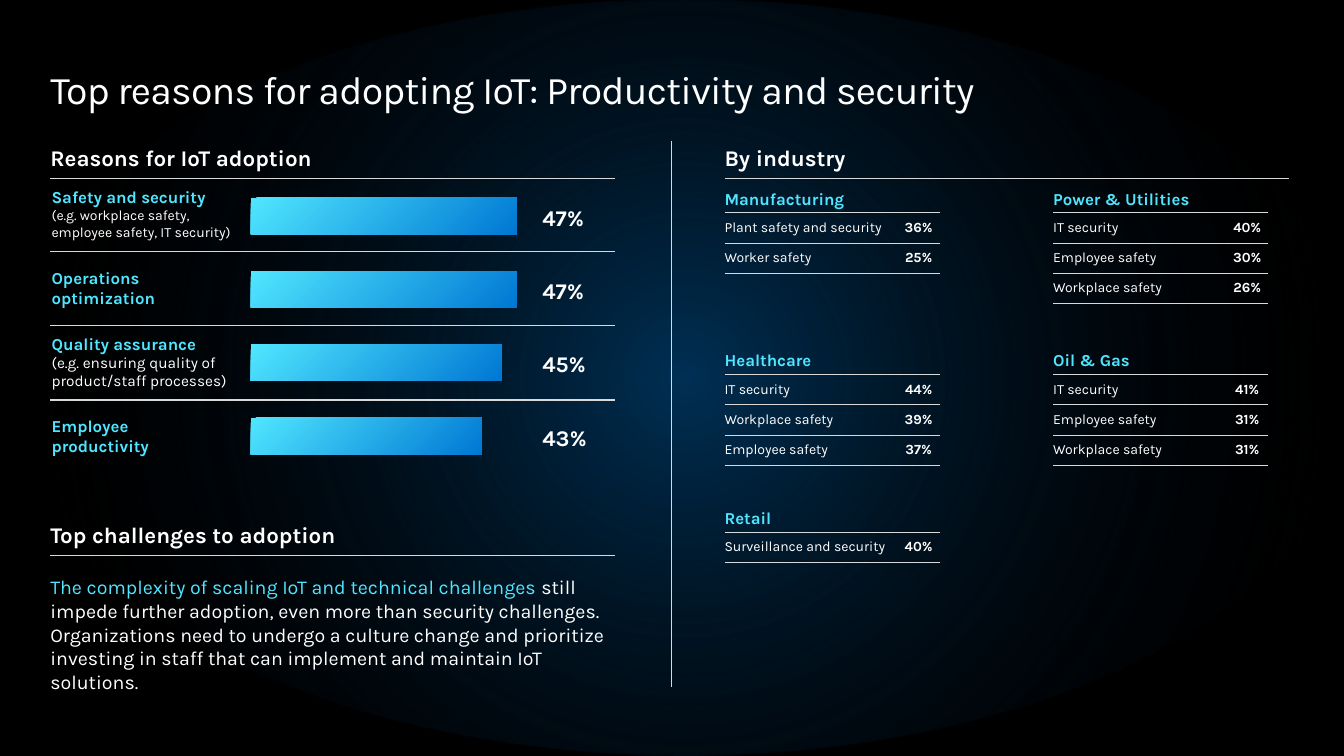
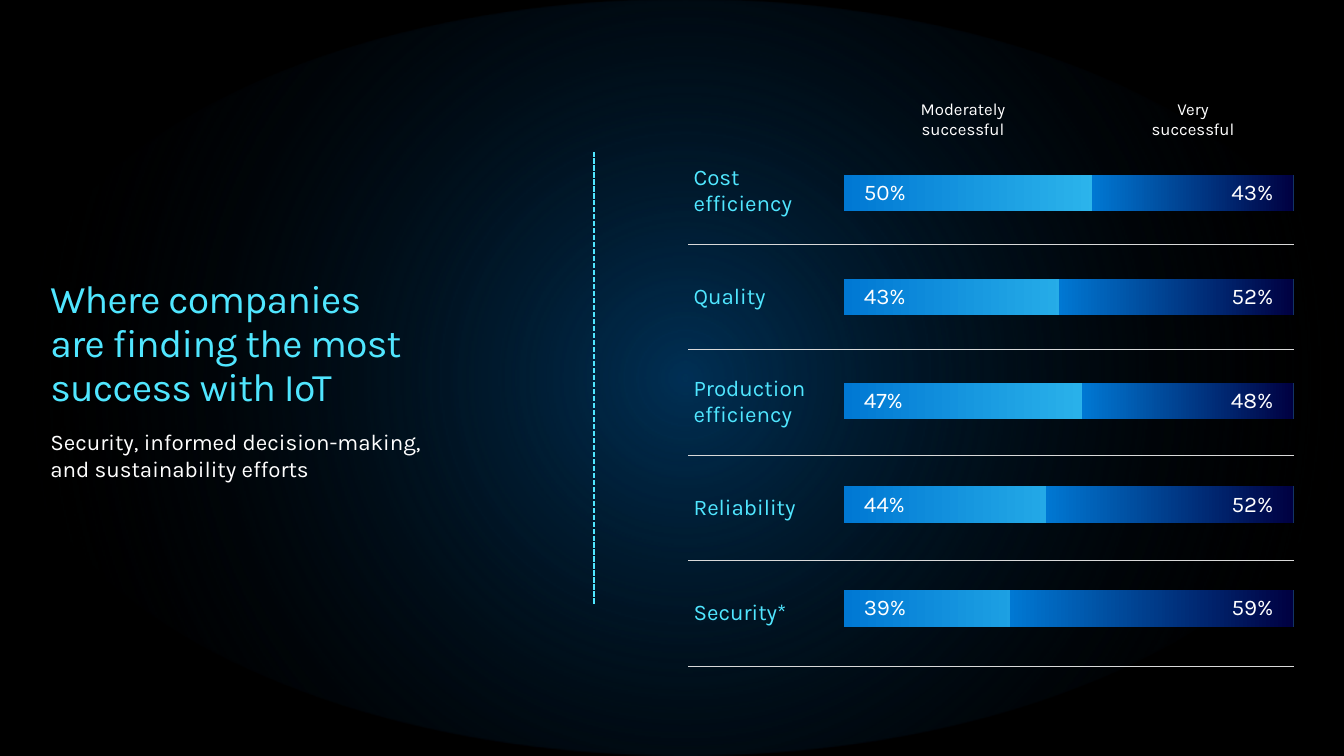
import pptx
import pptx.util
import pptx.dml.color
import pptx.enum.dml
import pptx.enum.shapes
import pptx.enum.text
import pptx.oxml.ns
from lxml import etree

Cm, Pt = pptx.util.Cm, pptx.util.Pt
qn = pptx.oxml.ns.qn
SHAPE = pptx.enum.shapes.MSO_SHAPE
ALIGN = pptx.enum.text.PP_ALIGN
MIDDLE = pptx.enum.text.MSO_ANCHOR.MIDDLE

# Palette and text styles
CYAN, BLUE, NAVY = "50E6FF", "0078D3", "000041"
WHITE, GREY, BLACK, GLOW = "FFFFFF", "D9D9D9", "000000", "003C6A"
NO_GRID = "{2D5ABB26-0587-4C30-8999-92F81FD0307C}"
TITLE = {"line_spacing": Pt(31.4)}
STRONG = {"line_spacing": 1.1}
TIGHT = {"line_spacing": 0.9}
LEFT, COLUMN = 1.27, 14.22


def rgb(value):
    return pptx.dml.color.RGBColor.from_string(value)


class Deck:
    font = "Karla"

    def __init__(self):
        self.prs = pptx.Presentation()
        self.prs.slide_width, self.prs.slide_height = Cm(33.87), Cm(19.05)
        self.s = None

    def slide(self):
        """Start a black slide with a soft blue glow."""
        self.s = self.prs.slides.add_slide(self.prs.slide_layouts[6])
        fill = self.s.background.fill
        fill.solid()
        fill.fore_color.rgb = rgb(BLACK)
        glow = self.shape(SHAPE.OVAL, 0, 0, 34.54, 19.05, GLOW, BLACK, 0)
        glow.fill.gradient_stops[1].position = 0.9
        grad = glow._element.spPr.find(qn("a:gradFill"))
        for color, alpha in zip(grad.iter(qn("a:srgbClr")), (80000, 0)):
            etree.SubElement(color, qn("a:alpha"), val=str(alpha))
        radial = etree.Element(qn("a:path"), {"path": "circle"})
        etree.SubElement(radial, qn("a:fillToRect"), {side: "50000" for side in "ltrb"})
        grad.replace(grad.find(qn("a:lin")), radial)

    def shape(self, kind, x, y, w, h, start, end, angle):
        """Draw a shape with a two-colour gradient and no outline."""
        sp = self.s.shapes.add_shape(kind, Cm(x), Cm(y), Cm(w), Cm(h))
        sp.shadow.inherit = False
        sp.line.fill.background()
        sp.fill.gradient()
        sp.fill.gradient_angle = angle
        for stop, color, position in zip(sp.fill.gradient_stops, (start, end), (0, 1)):
            stop.color.rgb = rgb(color)
            stop.position = position
        return sp

    def bar(self, x, y, w, start, end, angle, label=None, align=ALIGN.LEFT):
        sp = self.shape(SHAPE.RECTANGLE, x, y, w, 0.92, start, end, angle)
        if label:
            self.frame(sp.text_frame, (0.51, 0), vertical_anchor=MIDDLE)
            self.put(sp.text_frame, [(label, 16, WHITE)], alignment=align, **TIGHT)

    def frame(self, target, margins, **fmt):
        """Set the inner margins of a text frame or a table cell."""
        side, end = margins
        fmt.update(margin_left=Cm(side), margin_right=Cm(side),
                   margin_top=Cm(end), margin_bottom=Cm(end))
        for name, value in fmt.items():
            setattr(target, name, value)

    def put(self, tf, runs, spacing=None, **para):
        """Fill one paragraph; each run is (text, size, colour[, bold])."""
        p = tf.paragraphs[0]
        for name, value in para.items():
            setattr(p, name, value)
        for text, size, color, *bold in runs:
            for i, line in enumerate(text.split("\n")):
                if i:
                    p.add_line_break()
                if not line:
                    continue
                r = p.add_run()
                r.text = line
                fmt = {"name": self.font, "size": Pt(size), "bold": bool(bold)}
                for name, value in fmt.items():
                    setattr(r.font, name, value)
                r.font.color.rgb = rgb(color)
                if spacing:
                    r.font._element.set("spc", str(spacing))

    def text(self, x, y, w, h, runs, margins=(0, 0), wrap=True, anchor=None, **para):
        tf = self.s.shapes.add_textbox(Cm(x), Cm(y), Cm(w), Cm(h)).text_frame
        self.frame(tf, margins, word_wrap=wrap, vertical_anchor=anchor)
        self.put(tf, runs, **para)

    def title(self, x, y, w, h, text, color):
        self.text(x, y, w, h, [(text, 28, color)], spacing=-50, **TITLE)

    def heading(self, x, y, text):
        """Section heading with the rule below it."""
        self.text(x, y, 8.74, 0.71, [(text, 16, WHITE, True)], **STRONG)
        self.line(x, y + 0.94, x + COLUMN, y + 0.94)

    def line(self, x1, y1, x2, y2, color=GREY, width=0.75, dash=None):
        cn = self.s.shapes.add_connector(
            pptx.enum.shapes.MSO_CONNECTOR.STRAIGHT, Cm(x1), Cm(y1), Cm(x2), Cm(y2))
        cn.line.color.rgb = rgb(color)
        cn.line.width = Pt(width)
        cn.line.dash_style = dash
        etree.SubElement(cn._element.spPr, qn("a:effectLst"))

    def border(self, cell, tag, width):
        ln = etree.SubElement(cell._tc.get_or_add_tcPr(), qn(tag), w=str(Pt(width)))
        fill = etree.SubElement(ln, qn("a:solidFill"))
        etree.SubElement(fill, qn("a:srgbClr"), val=GREY)

    def table(self, x, y, widths, row_h, rows, margins, width, top=False, bottom=True):
        """Each cell is a list of runs; later columns are centred."""
        frame = self.s.shapes.add_table(len(rows), len(widths), Cm(x), Cm(y),
                                        Cm(sum(widths)), Cm(row_h * len(rows)))
        tbl = frame.table
        tbl.first_row = tbl.horz_banding = False
        tbl._tbl.tblPr.find(qn("a:tableStyleId")).text = NO_GRID
        for col, w in zip(tbl.columns, widths):
            col.width = Cm(w)
        for i, row in enumerate(rows):
            tbl.rows[i].height = Cm(row_h)
            for j, runs in enumerate(row):
                cell = tbl.cell(i, j)
                self.frame(cell, margins, vertical_anchor=MIDDLE)
                if i or top:
                    self.border(cell, "a:lnT", width)
                if i < len(rows) - 1 or bottom:
                    self.border(cell, "a:lnB", width)
                cell.fill.background()
                self.put(cell.text_frame, runs,
                         alignment=ALIGN.CENTER if j else ALIGN.LEFT)

    def industry(self, x, y, name, items):
        """Industry name above its table of reasons."""
        self.text(x, y - 0.56, 4.27, 0.46, [(name, 12, CYAN, True)], **TIGHT)
        rows = [([(reason, 10, WHITE)], [(share, 10, WHITE, True)])
                for reason, share in items]
        self.table(x, y, (4.36, 1.06), 0.76, rows, (0, 0.01), 0.5, top=True)


def reasons_slide(d):
    d.slide()
    d.title(LEFT, 1.73, 31.39, 1.12,
            "Top reasons for adopting IoT: Productivity and security", WHITE)

    # Reasons, with a bar and a share in each row
    reasons = [
        ("Safety and security", "\n(e.g. workplace safety,\nemployee safety, IT security)",
         10, "47%", 6.71),
        ("Operations\noptimization", "", 11, "47%", 6.71),
        ("Quality assurance", "\n(e.g. ensuring quality of product/staff processes)",
         11, "45%", 6.32),
        ("Employee\nproductivity", "", 11, "43%", 5.82),
    ]
    rows = [([(name, 12, CYAN, True), (note, size, WHITE)], [])
            for name, note, size, *_ in reasons]
    d.table(LEFT, 4.47, (4.9, 9.32), 1.87, rows, (0.03, 0.02), 1, bottom=False)
    d.heading(LEFT, 3.56, "Reasons for IoT adoption")
    for i, (*_, share, w) in enumerate(reasons):
        y = 4.98 + 1.85 * i
        d.bar(6.32, y, w, CYAN, BLUE, 315)
        d.text(13.67, y, 1.47, 0.92, [(share, 16, WHITE, True)], anchor=MIDDLE, **STRONG)

    # Challenges
    d.heading(LEFT, 13.06, "Top challenges to adoption")
    d.text(LEFT, 14.5, 14.25, 2.39, [
        ("The complexity of scaling IoT and technical challenges ", 14, CYAN),
        ("still impede further adoption, even more than security challenges. "
         "Organizations need to undergo a culture change and prioritize investing "
         "in staff that can implement and maintain IoT solutions.", 14, WHITE)])

    # Industries
    d.line(16.92, 3.56, 16.92, 17.3)
    d.heading(18.26, 3.56, "By industry")
    it, worker, place = "IT security", "Employee safety", "Workplace safety"
    industries = [
        (0, 5.36, "Manufacturing",
         [("Plant safety and security", "36%"), ("Worker safety", "25%")]),
        (1, 5.36, "Power & Utilities", [(it, "40%"), (worker, "30%"), (place, "26%")]),
        (0, 9.44, "Healthcare", [(it, "44%"), (place, "39%"), (worker, "37%")]),
        (1, 9.44, "Oil & Gas", [(it, "41%"), (worker, "31%"), (place, "31%")]),
        (0, 13.41, "Retail", [("Surveillance and security", "40%")]),
    ]
    for col, y, name, items in industries:
        d.industry(18.26 + 8.28 * col, y, name, items)


def success_slide(d):
    d.slide()
    d.title(LEFT, 6.99, 9.6, 3.3,
            "Where companies\nare finding the most\nsuccess with IoT", CYAN)
    d.text(LEFT, 10.8, 9.6, 1.37, [
        ("Security, informed decision-making, and sustainability efforts", 16, WHITE)])
    d.line(14.96, 15.21, 14.96, 3.84, CYAN, 1.25,
           pptx.enum.dml.MSO_LINE.SQUARE_DOT)

    # Column headings
    for x, w, label in ((21.87, 4.8, "Moderately\nsuccessful"),
                        (28.35, 3.43, "Very\nsuccessful")):
        d.text(x, 2.36, w, 1.27, [(label, 12, WHITE)], margins=(0.25, 0.13),
               wrap=False, alignment=ALIGN.CENTER)

    # Areas, with the "very successful" bar over the right end of the full bar
    areas = [
        ("Cost efficiency", "50%", "43%", 5.08),
        ("Quality", "43%", "52%", 5.92),
        ("Production efficiency", "47%", "48%", 5.33),
        ("Reliability", "44%", "52%", 6.25),
        ("Security*", "39%", "59%", 7.14),
    ]
    rows = [([(name, 16, CYAN)], [], []) for name, *_ in areas]
    d.table(17.35, 3.49, (3.2, 9.78, 2.29), 2.66, rows, (0.13, 0.13), 0.5)
    left, right = 21.26, 32.6
    for i, (_, moderate, very, w) in enumerate(areas):
        y = 4.4 + 2.62 * i
        d.bar(left, y, right - left, CYAN, BLUE, 180, moderate)
        d.bar(right - w, y, w, NAVY, BLUE, 180, very, ALIGN.RIGHT)


def main():
    d = Deck()
    reasons_slide(d)
    success_slide(d)
    d.prs.save("out.pptx")


if __name__ == "__main__":
    main()
